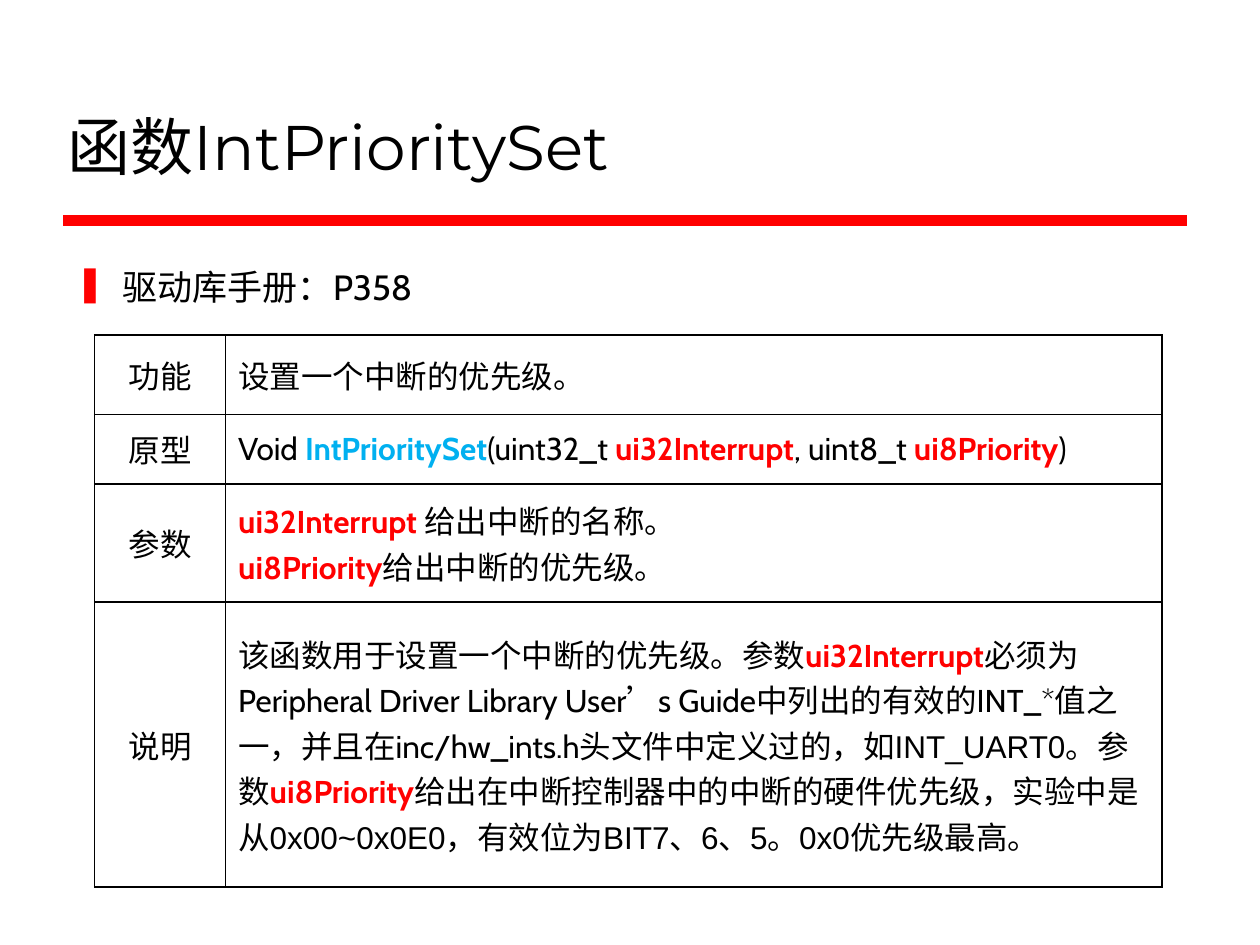
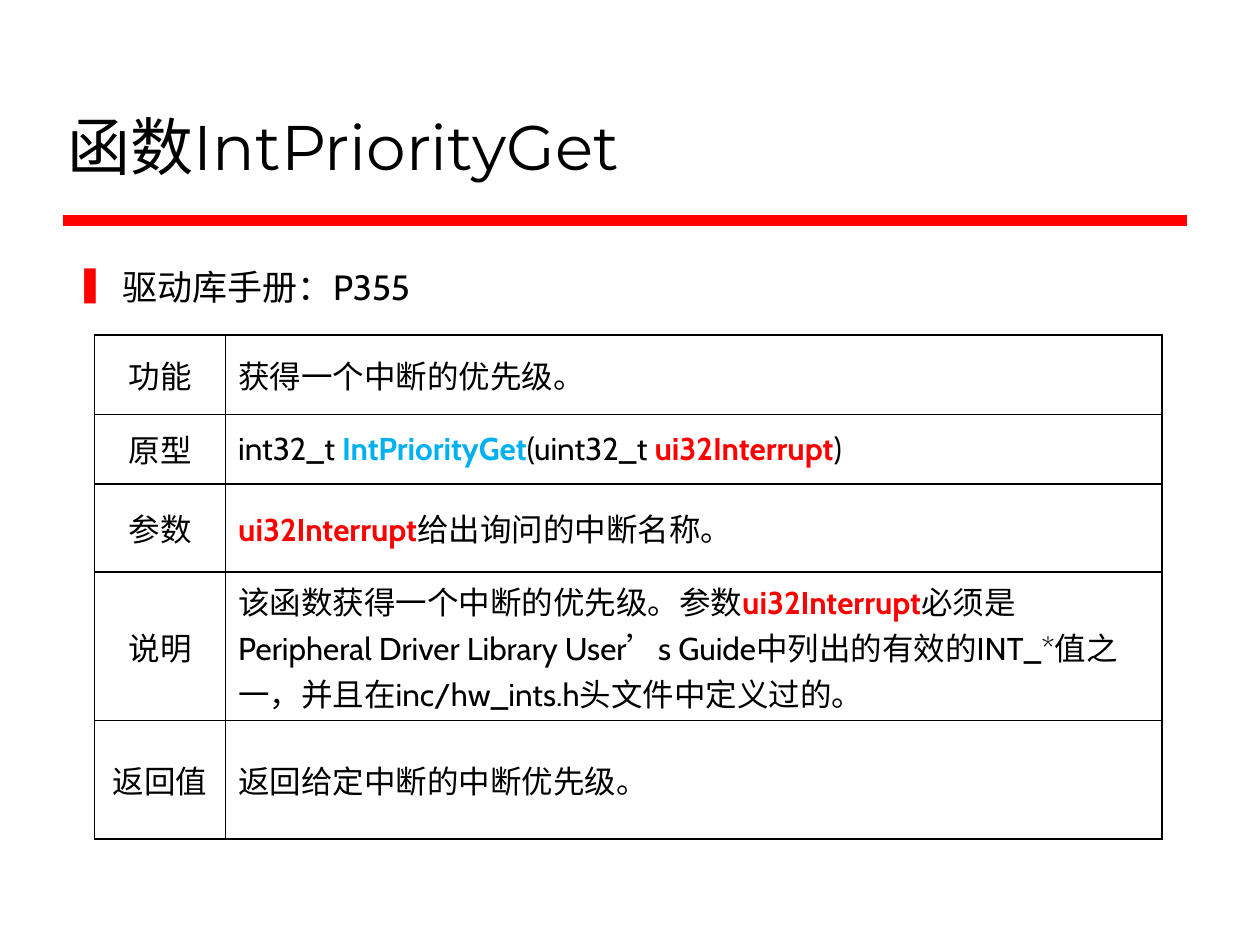
"""Build two reference slides for interrupt priority functions."""
from lxml.etree import SubElement
from pptx import Presentation
from pptx.dml.color import RGBColor
from pptx.enum.lang import MSO_LANGUAGE_ID
from pptx.enum.text import MSO_ANCHOR, PP_ALIGN
from pptx.oxml.ns import qn
from pptx.util import Pt

INTERRUPT = ("ui32Interrupt", "param")
PRIORITY = ("ui8Priority", "param")
GUIDE = "Peripheral Driver Library User’s Guide中列出的有效的INT_*值之一，并且在inc/hw_ints.h头文件中定义过的"

SLIDES = [
    {
        "title": "函数IntPrioritySet",
        "manual": "驱动库手册：P358",
        "rows": [
            ("功能", 45.36, [["设置一个中断的优先级。"]]),
            ("原型", 39.6, [["Void ", ("IntPrioritySet", "function"), "(uint32_t ", INTERRUPT,
                           ", uint8_t ", PRIORITY, ")"]]),
            ("参数", 67.5, [[("ui32Interrupt ", "param"), "给出中断的名称。"],
                          [PRIORITY, "给出中断的优先级。"]]),
            ("说明", 163, [["该函数用于设置一个中断的优先级。参数", INTERRUPT, f"必须为{GUIDE}，",
                          ("如INT_UART0", "plain"), "。参数", PRIORITY,
                          "给出在中断控制器中的中断的硬件优先级，实验中是",
                          ("从0x00~0x0E0，有效位为BIT7、6、5。0x0优先级最高。", "plain")]]),
        ],
    },
    {
        "title": "函数IntPriorityGet",
        "manual": "驱动库手册：P355",
        "rows": [
            ("功能", 45.36, [["获得一个中断的优先级。"]]),
            ("原型", 39.6, [["int32_t ", ("IntPriorityGet", "function"), "(uint32_t ", INTERRUPT, ")"]]),
            ("参数", 50.4, [[INTERRUPT, "给出询问的中断名称。"]]),
            ("说明", 85, [["该函数获得一个中断的优先级。参数", INTERRUPT, f"必须是{GUIDE}。"]]),
            ("返回值", 67.5, [["返回给定中断的中断优先级。"]]),
        ],
    },
]

BLACK, RED, BLUE = "000000", "FF0000", "00B0F0"
CELL = {"name": "Cabin", "size": Pt(18), "bold": False, "color": BLACK}
THEME = {
    "title": {**CELL, "name": "Montserrat", "size": Pt(36)},
    "manual": {**CELL, "size": Pt(20)},
    "cell": CELL,
    "plain": {**CELL, "name": "Arial"},
    "param": {**CELL, "bold": True, "color": RED},
    "function": {**CELL, "bold": True, "color": BLUE},
}
TITLE_BOX = (31.68, 18, 645.84, 90)
MANUAL_BOX = (36, 148.32, 643.68, 36)
RULE = {"left": 36, "right": 678.24, "y": 126, "width": 6}
TABLE = {"left": 54, "top": 191.5, "cols": (74.9, 535)}
INDENT = 27


def set_attrs(obj, values):
    for name, value in values.items():
        setattr(obj, name, value)


def add_run(p, text, style):
    r = p.add_run()
    r.text = text
    values = dict(THEME[style])
    r.font.color.rgb = RGBColor.from_string(values.pop("color"))
    set_attrs(r.font, {**values, "language_id": MSO_LANGUAGE_ID.SIMPLIFIED_CHINESE})


def add_text(s, box, text, style, anchor):
    tf = s.shapes.add_textbox(*map(Pt, box)).text_frame
    set_attrs(tf, {"word_wrap": True, "vertical_anchor": anchor})
    p = tf.paragraphs[0]
    add_run(p, text, style)
    return p


def add_color(parent, color):
    SubElement(parent, qn("a:srgbClr"), val=color)


def add_bullet(p):
    pPr = p._p.get_or_add_pPr()
    pPr.set("marL", str(Pt(INDENT)))
    pPr.set("indent", str(-Pt(INDENT)))
    add_color(SubElement(pPr, qn("a:buClr")), RED)
    SubElement(pPr, qn("a:buChar"), char="❚")


def add_rule(s):
    y = Pt(RULE["y"])
    line = s.shapes.add_connector(1, Pt(RULE["left"]), y, Pt(RULE["right"]), y)
    line.line.width = Pt(RULE["width"])
    line.line.color.rgb = RGBColor.from_string(RED)
    SubElement(line._element.spPr, qn("a:effectLst"))


def fill_cell(cell, paragraphs, fmt):
    tcPr = cell._tc.get_or_add_tcPr()
    for side in ("lnL", "lnR", "lnT", "lnB"):
        ln = SubElement(tcPr, qn(f"a:{side}"), w=str(Pt(1)))
        add_color(SubElement(ln, qn("a:solidFill")), BLACK)
    cell.fill.background()
    cell.vertical_anchor = MSO_ANCHOR.MIDDLE
    tf = cell.text_frame
    for i, runs in enumerate(paragraphs):
        p = tf.add_paragraph() if i else tf.paragraphs[0]
        set_attrs(p, fmt)
        for run in runs:
            text, style = (run, "cell") if isinstance(run, str) else run
            add_run(p, text, style)


def add_function_table(s, rows):
    width, height = sum(TABLE["cols"]), sum(row[1] for row in rows)
    table = s.shapes.add_table(len(rows), len(TABLE["cols"]), Pt(TABLE["left"]), Pt(TABLE["top"]),
                               Pt(width), Pt(height)).table
    set_attrs(table, {"first_row": False, "horz_banding": False})
    for col, w in zip(table.columns, TABLE["cols"]):
        col.width = Pt(w)
    for i, (label, h, paragraphs) in enumerate(rows):
        table.rows[i].height = Pt(h)
        fill_cell(table.cell(i, 0), [[label]], {"alignment": PP_ALIGN.CENTER})
        spacing = {} if i else {"space_before": Pt(6), "space_after": Pt(6)}
        fill_cell(table.cell(i, 1), paragraphs, spacing)


def add_slide(prs, content):
    s = prs.slides.add_slide(prs.slide_layouts[6])
    add_rule(s)
    add_text(s, TITLE_BOX, content["title"], "title", MSO_ANCHOR.BOTTOM)
    p = add_text(s, MANUAL_BOX, content["manual"], "manual", MSO_ANCHOR.TOP)
    p.space_before = Pt(4)
    add_bullet(p)
    add_function_table(s, content["rows"])


prs = Presentation()
set_attrs(prs, {"slide_width": Pt(720), "slide_height": Pt(540)})
for content in SLIDES:
    add_slide(prs, content)
prs.save("out.pptx")
